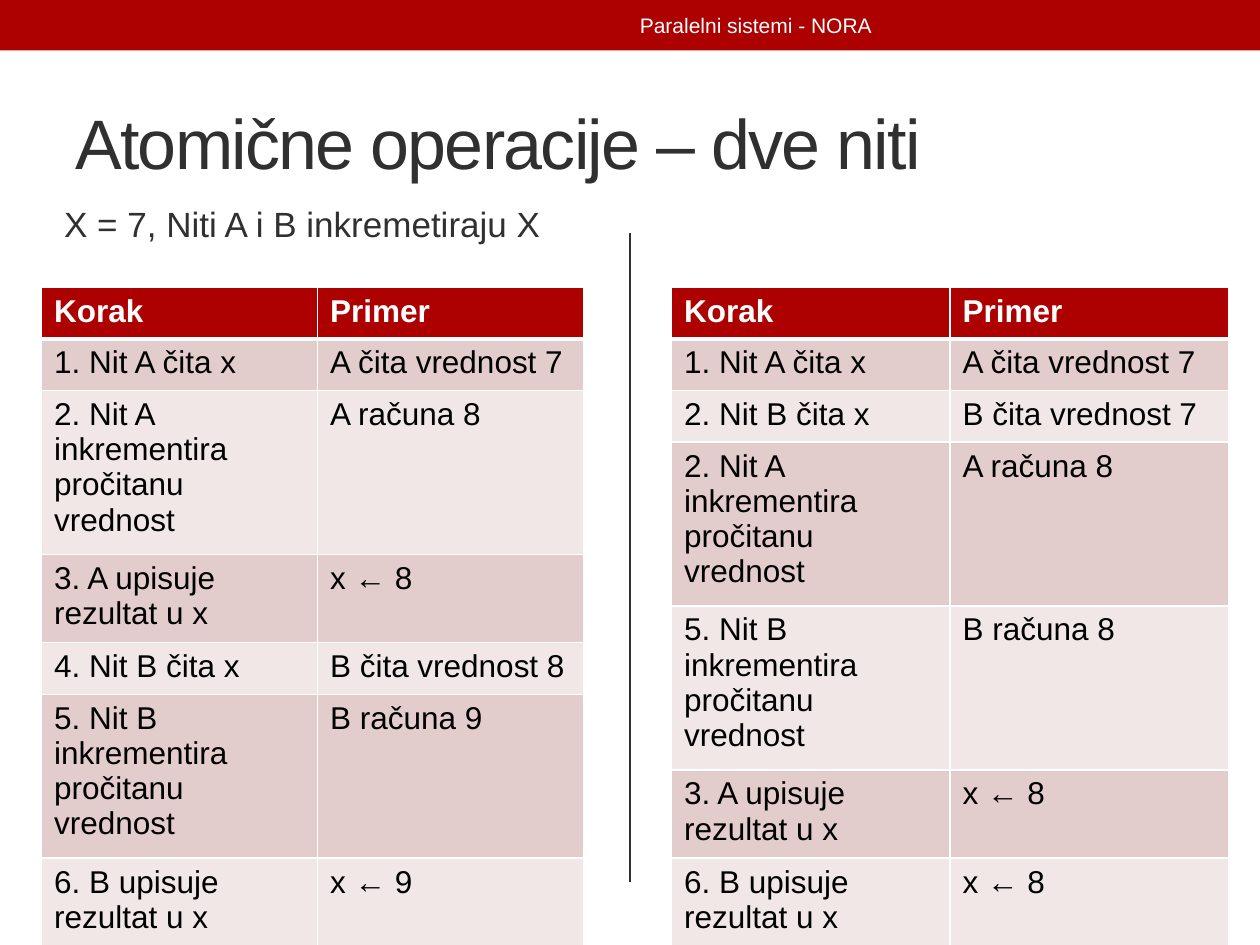
"""Build the slide on atomic operations with two threads."""
from lxml.etree import SubElement
from pptx import Presentation
from pptx.dml.color import RGBColor
from pptx.enum.shapes import MSO_CONNECTOR as Conn, MSO_SHAPE as Shape
from pptx.enum.text import MSO_ANCHOR as Anchor, PP_ALIGN as Align
from pptx.oxml.ns import qn
from pptx.util import Inches, Pt

RED = RGBColor(0xAD, 0x01, 0x01)
DARK = RGBColor(0x30, 0x30, 0x30)
WHITE = RGBColor(0xFF, 0xFF, 0xFF)
BLACK = RGBColor(0, 0, 0)
ROSE = RGBColor(0xE3, 0xCC, 0xCC)
PALE = RGBColor(0xF1, 0xE7, 0xE7)

HEAD = ("Korak", "Primer")
INC_A = "2. Nit A inkrementira pročitanu vrednost"
INC_B = "5. Nit B inkrementira pročitanu vrednost"
SET_A = "3. A upisuje rezultat u x"
SET_B = "6. B upisuje rezultat u x"
READ_A = ("1. Nit A čita x", "A čita vrednost 7")
TALL = {INC_A: 1.22, INC_B: 1.22, SET_A: 0.66, SET_B: 0.66}

SERIAL = [
    HEAD, READ_A, (INC_A, "A računa 8"), (SET_A, "x ← 8"),
    ("4. Nit B čita x", "B čita vrednost 8"),
    (INC_B, "B računa 9"), (SET_B, "x ← 9"),
]
MIXED = [
    HEAD, READ_A, ("2. Nit B čita x", "B čita vrednost 7"),
    (INC_A, "A računa 8"), (INC_B, "B računa 8"),
    (SET_A, "x ← 8"), (SET_B, "x ← 8"),
]


def write(frame, text, size=18, color=DARK, bold=False, align=Align.LEFT, gap=0):
    para = frame.paragraphs[0]
    para.alignment = align
    run = para.add_run()
    run.text = text
    font = run.font
    font.name, font.size, font.bold = "Arial", Pt(size), bold
    font.color.rgb = color
    if gap:
        run._r.get_or_add_rPr().set("spc", str(gap))


def edge(cell, side, width):
    props = cell._tc.get_or_add_tcPr()
    line = SubElement(props, qn(f"a:{side}"), w=str(Pt(width)))
    fill = SubElement(line, qn("a:solidFill"))
    SubElement(fill, qn("a:srgbClr"), val=str(WHITE))


deck = Presentation()
deck.slide_width, deck.slide_height = Inches(10), Inches(7.5)
slide = deck.slides.add_slide(deck.slide_layouts[6])
shapes = slide.shapes

band = shapes.add_shape(Shape.RECTANGLE, 0, 0, Inches(10), Inches(0.4))
band.shadow.inherit = False
band.fill.solid()
band.fill.fore_color.rgb = RED
band.line.fill.background()

rule = shapes.add_connector(Conn.STRAIGHT, Inches(5), Inches(1.85), Inches(5), Inches(7))
rule.line.color.rgb = DARK
rule.line.width = Pt(1.5)
SubElement(rule._element.spPr, qn("a:effectLst"))

for text, area, style in [
    ("Atomične operacije – dve niti", (0.5, 0.58, 9, 1.08), dict(size=40, gap=-100)),
    ("X = 7, Niti A i B inkremetiraju X", (0.25, 1.42, 4.3, 0.7),
     dict(size=20, align=Align.CENTER)),
    ("Paralelni sistemi - NORA", (3.75, 0.02, 4.5, 0.36),
     dict(size=12, color=WHITE, align=Align.CENTER)),
]:
    frame = shapes.add_textbox(*map(Inches, area)).text_frame
    frame.word_wrap = True
    frame.vertical_anchor = Anchor.MIDDLE
    write(frame, text, **style)

for rows, left, widths in [(SERIAL, 0.33, (2.19, 2.11)), (MIXED, 5.33, (2.21, 2.21))]:
    highs = [TALL.get(step, 0.41) for step, _ in rows]
    table = shapes.add_table(
        len(rows), 2, Inches(left), Inches(2.28),
        Inches(sum(widths)), Inches(sum(highs))).table
    for col, width in zip(table.columns, widths):
        col.width = Inches(width)
    for r, row in enumerate(rows):
        table.rows[r].height = Inches(highs[r])
        fill = RED if r == 0 else ROSE if r % 2 else PALE
        for c, text in enumerate(row):
            cell = table.cell(r, c)
            for side in ("lnL", "lnR", "lnT", "lnB"):
                thick = (r, side) in [(0, "lnB"), (1, "lnT")]
                edge(cell, side, 3 if thick else 1)
            cell.fill.solid()
            cell.fill.fore_color.rgb = fill
            write(cell.text_frame, text, color=BLACK if r else WHITE, bold=r == 0)

deck.save("out.pptx")
